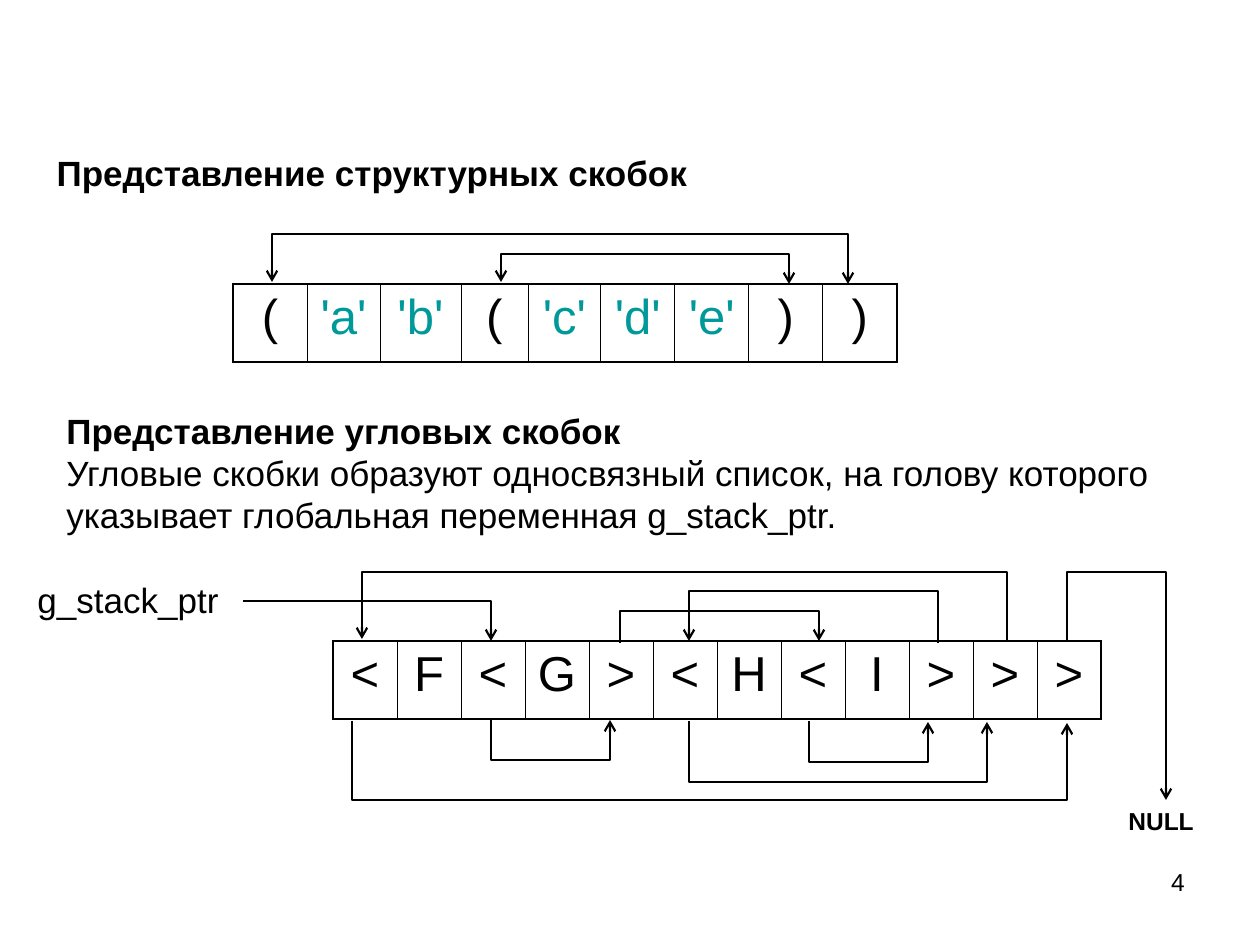
from dataclasses import dataclass

from lxml.etree import SubElement
from pptx import Presentation
from pptx.dml.color import RGBColor
from pptx.enum.text import MSO_ANCHOR, MSO_AUTO_SIZE, PP_ALIGN
from pptx.oxml import parse_xml
from pptx.oxml.ns import nsdecls, qn
from pptx.util import Emu, Pt


@dataclass(frozen=True)
class Theme:
    font: str = "Arial"
    ink: RGBColor = RGBColor(0, 0, 0)
    literal: RGBColor = RGBColor(0, 0x99, 0x99)
    body_size: int = 20
    cell_size: int = 28
    small_size: int = 14
    arrow_width: float = 1.25
    outer_border: float = 1.08
    inner_border: float = 0.45


theme = Theme()
PX = 914400 / 126


def px(*lengths):
    return [Emu(round(length * PX)) for length in lengths]


def style_text(frame, size, align=PP_ALIGN.LEFT, bold=False, color=theme.ink, before=0):
    frame.word_wrap = True
    frame.vertical_anchor = MSO_ANCHOR.TOP
    for para in frame.paragraphs:
        para.alignment = align
        para.space_before = Pt(before)
        for span in para.runs:
            span.font.name = theme.font
            span.font.size = Pt(size)
            span.font.bold = bold
            span.font.color.rgb = color


deck = Presentation()
deck.slide_width, deck.slide_height = px(1260, 945)
page = deck.slides.add_slide(deck.slide_layouts[5])

# Title
title = page.shapes.title
title.left, title.top, title.width, title.height = px(44, 145, 1191, 55)
title.text_frame.text = "Представление структурных скобок"
title.text_frame.auto_size = MSO_AUTO_SIZE.NONE
style_text(title.text_frame, theme.body_size, bold=True)

# Text boxes: text, place, size, alignment, bold, space before
angle_text = (
    "Представление угловых скобок\v"
    "Угловые скобки образуют односвязный список, на голову которого "
    "указывает глобальная переменная g_stack_ptr."
)
labels = [
    (angle_text, (54, 403, 1134, 139), theme.body_size, PP_ALIGN.LEFT, False, 0),
    ("g_stack_ptr", (25, 572, 228, 55), theme.body_size, PP_ALIGN.LEFT, False, 12.5),
    ("NULL", (1116, 800, 98, 43), theme.small_size, PP_ALIGN.LEFT, True, 8.8),
    ("4", (903, 861, 294, 66), theme.small_size, PP_ALIGN.RIGHT, False, 0),
]
for text, place, size, align, bold, before in labels:
    box = page.shapes.add_textbox(*px(*place))
    box.text_frame.text = text
    style_text(box.text_frame, size, align, bold, before=before)
    if text == angle_text:
        box.text_frame.paragraphs[0].runs[0].font.bold = True

# Memory rows: left, top, column widths, cell texts
memory_rows = [
    (233, 284, [74, 73, 81, 67, 73, 74, 74, 74, 74],
     ["(", "'a'", "'b'", "(", "'c'", "'d'", "'e'", ")", ")"]),
    (333, 641, [64] * 12, list("<F<G><H<I>>>")),
]
for left, top, widths, texts in memory_rows:
    frame = page.shapes.add_table(1, len(texts), *px(left, top, sum(widths), 78))
    table = frame.table
    table.first_row = table.horz_banding = False
    last = len(texts) - 1
    for index, (width, text) in enumerate(zip(widths, texts)):
        table.columns[index].width = px(width)[0]
        cell = table.cell(0, index)
        cell.text_frame.text = text
        color = theme.literal if text.startswith("'") else theme.ink
        style_text(cell.text_frame, theme.cell_size, PP_ALIGN.CENTER, color=color, before=7)
        cell.fill.background()
        borders = {
            "lnL": theme.outer_border if index == 0 else theme.inner_border,
            "lnR": theme.outer_border if index == last else theme.inner_border,
            "lnT": theme.outer_border,
            "lnB": theme.outer_border,
        }
        properties = cell._tc.get_or_add_tcPr()
        for position, (side, weight) in enumerate(borders.items()):
            properties.insert(position, parse_xml(
                f'<a:{side} {nsdecls("a")} w="{Pt(weight)}"><a:solidFill>'
                f'<a:srgbClr val="{theme.ink}"/></a:solidFill></a:{side}>'
            ))

# Bracket links: points from start to end, arrowheads
END, BOTH = ["tailEnd"], ["headEnd", "tailEnd"]
links = [
    ([(848, 284), (848, 234), (272, 234), (272, 282)], BOTH),
    ([(789, 284), (789, 254), (501, 254), (501, 282)], BOTH),
    ([(491, 719), (491, 760), (610, 760), (610, 720)], END),
    ([(809, 721), (809, 762), (928, 762), (928, 722)], END),
    ([(689, 721), (689, 782), (987, 782), (987, 722)], END),
    ([(352, 721), (352, 800), (1067, 800), (1067, 723)], END),
    ([(938, 643), (938, 591), (689, 591), (689, 641)], END),
    ([(620, 643), (620, 611), (819, 611), (819, 641)], END),
    ([(1007, 641), (1007, 572), (362, 572), (362, 639)], END),
    ([(243, 601), (491, 601), (491, 641)], END),
    ([(1067, 641), (1067, 572), (1166, 572), (1166, 800)], END),
]
for points, heads in links:
    builder = page.shapes.build_freeform(*points[0], scale=PX)
    builder.add_line_segments(points[1:], close=False)
    link = builder.convert_to_shape()
    link.shadow.inherit = False
    link.fill.background()
    link.line.color.rgb = theme.ink
    link.line.width = Pt(theme.arrow_width)
    for head in heads:
        SubElement(link.line._get_or_add_ln(), qn(f"a:{head}"), type="arrow")

deck.save("out.pptx")
